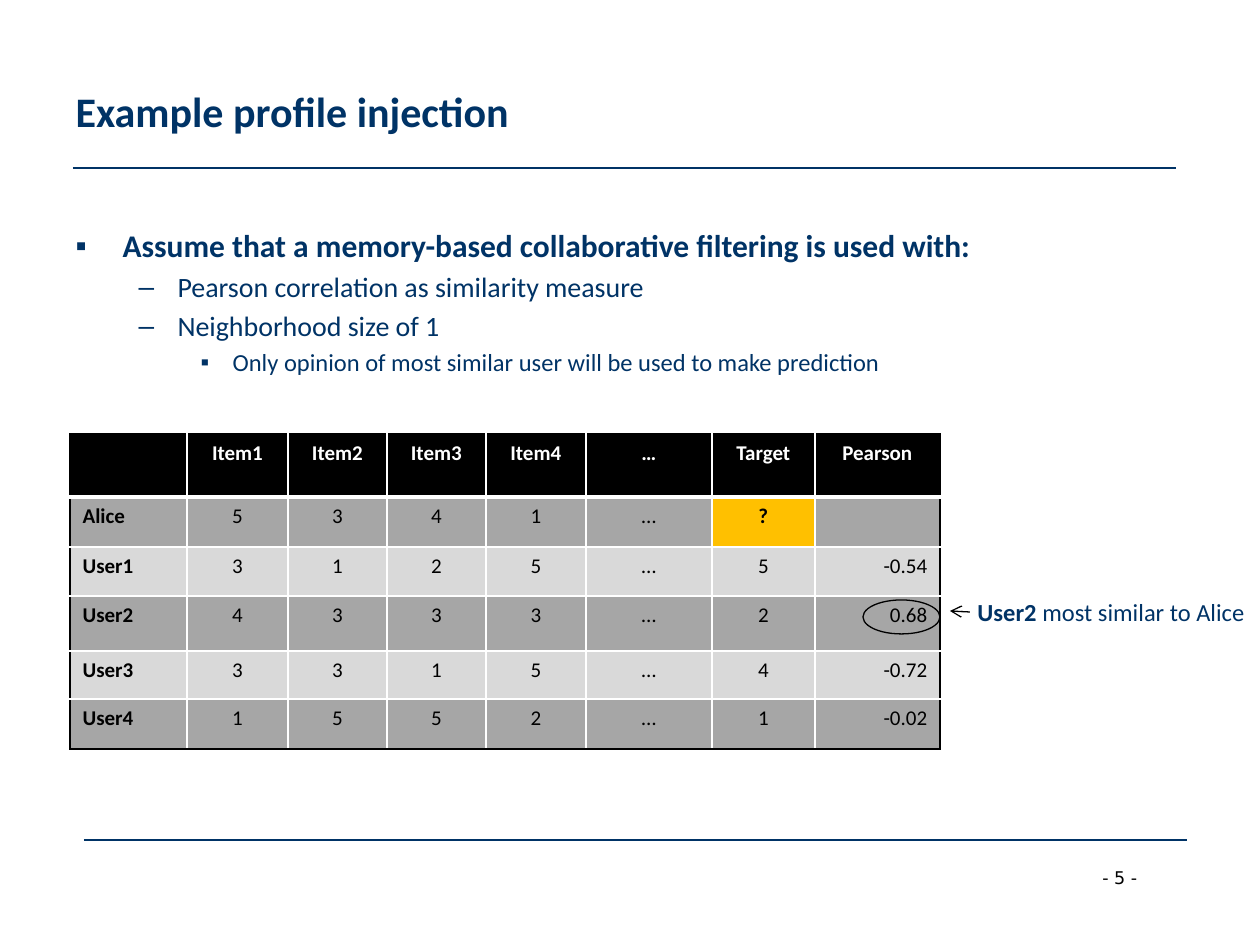
from dataclasses import dataclass

from lxml.etree import SubElement
from pptx import Presentation
from pptx.dml.color import RGBColor as RGB
from pptx.enum.shapes import MSO_CONNECTOR as Connector, MSO_SHAPE as Shape
from pptx.enum.text import MSO_ANCHOR as Anchor, MSO_AUTO_SIZE as AutoSize, PP_ALIGN as Align
from pptx.oxml.ns import qn
from pptx.util import Emu, Pt


@dataclass(frozen=True)
class Theme:
    font: str = "Calibri"
    number_font: str = "DejaVu Sans"
    navy: str = "003366"
    black: str = "000000"
    white: str = "FFFFFF"
    dark_band: str = "A6A6A6"
    light_band: str = "D9D9D9"
    highlight: str = "FFC000"
    title: int = 24
    levels: tuple = (18, 16, 14)
    note: int = 14
    cell: int = 12
    page: int = 10
    thin: float = 0.75


THEME = Theme()
EMU_PER_PX = 914400 / 126

OUTLINE = [
    (0, "Assume that a memory-based collaborative filtering is used with:"),
    (1, "Pearson correlation as similarity measure"),
    (1, "Neighborhood size of 1"),
    (2, "Only opinion of most similar user will be used to make prediction"),
]
LEVEL_FORMAT = [("▪", 47, -47), ("–", 102, -39), ("▪", 157, -32)]

RATINGS = [
    ["", "Item1", "Item2", "Item3", "Item4", "…", "Target", "Pearson"],
    ["Alice", "5", "3", "4", "1", "…", "?", ""],
    ["User1", "3", "1", "2", "5", "…", "5", "-0.54"],
    ["User2", "4", "3", "3", "3", "…", "2", "0.68"],
    ["User3", "3", "3", "1", "5", "…", "4", "-0.72"],
    ["User4", "1", "5", "5", "2", "…", "1", "-0.02"],
]
COLUMN_WIDTHS = [117, 101, 99, 99, 100, 126, 103, 125]
ROW_HEIGHTS = [63, 50, 49, 55, 48, 50]


def px(length):
    return Emu(round(length * EMU_PER_PX))


def box(*lengths):
    return [px(length) for length in lengths]


def set_font(font, size, color=THEME.navy, bold=False, name=THEME.font):
    font.name = name
    font.size = Pt(size)
    font.bold = bold
    font.color.rgb = RGB.from_string(color)


def place(holder, left, top, width, height):
    holder.left, holder.top, holder.width, holder.height = box(left, top, width, height)


def fill_title(title, text):
    place(title, 63, 32, 1134, 157)
    title.text_frame.text = text
    title.text_frame.vertical_anchor = Anchor.MIDDLE
    heading = title.text_frame.paragraphs[0]
    heading.alignment = Align.LEFT
    set_font(heading.font, THEME.title, bold=True)


def fill_outline(body, outline):
    place(body, 63, 220, 1134, 183)
    frame = body.text_frame
    frame.auto_size = AutoSize.NONE
    frame.text = "\n".join(text for _, text in outline)
    for point, (level, _) in zip(frame.paragraphs, outline):
        point.level = level
        bullet, margin, indent = LEVEL_FORMAT[level]
        properties = point._p.get_or_add_pPr()
        properties.set("marL", str(px(margin)))
        properties.set("indent", str(px(indent)))
        SubElement(properties, qn("a:buChar"), char=bullet)
        set_font(point.font, THEME.levels[level], bold=level == 0)
    frame.paragraphs[0].space_before = Pt(12)


def add_line(slide, start, end, color, arrow=False):
    line = slide.shapes.add_connector(Connector.STRAIGHT, *box(*start, *end))
    line.line.color.rgb = RGB.from_string(color)
    line.line.width = Pt(THEME.thin)
    if arrow:
        SubElement(line.line._get_or_add_ln(), qn("a:tailEnd"), type="arrow")
    SubElement(line._element.spPr, qn("a:effectLst"))


def add_label(slide, bounds, runs, size, color=THEME.navy, name=THEME.font):
    frame = slide.shapes.add_textbox(*box(*bounds)).text_frame
    frame.word_wrap = False
    frame.auto_size = AutoSize.SHAPE_TO_FIT_TEXT
    for text, bold in runs:
        run = frame.paragraphs[0].add_run()
        run.text = text
        set_font(run.font, size, color, bold, name)


def add_ring(slide, bounds):
    ring = slide.shapes.add_shape(Shape.OVAL, *box(*bounds))
    ring.shadow.inherit = False
    ring.fill.background()
    ring.line.color.rgb = RGB.from_string(THEME.black)
    ring.line.width = Pt(THEME.thin)


def set_borders(cell, borders):
    properties = cell._tc.get_or_add_tcPr()
    for side, (color, width) in borders.items():
        border = SubElement(properties, qn(f"a:ln{side}"), w=str(Pt(width)))
        SubElement(SubElement(border, qn("a:solidFill")), qn("a:srgbClr"), val=color)


def cell_borders(row, column):
    last_row, last_column = len(RATINGS) - 1, len(COLUMN_WIDTHS) - 1

    def edge(outer):
        return (THEME.black if outer else THEME.white, 1)

    return {
        "L": edge(column == 0),
        "R": edge(column == last_column),
        "T": (THEME.white, 3) if row == 1 else edge(row == 0),
        "B": (THEME.white, 3) if row == 0 else edge(row == last_row),
    }


def cell_fill(row, text):
    if row == 0:
        return THEME.black
    if text == "?":
        return THEME.highlight
    return THEME.dark_band if row % 2 else THEME.light_band


def cell_alignment(row, column):
    if row and column == 0:
        return Align.LEFT
    if row and column == len(COLUMN_WIDTHS) - 1:
        return Align.RIGHT
    return Align.CENTER


def add_ratings(slide, left, top):
    size = sum(COLUMN_WIDTHS), sum(ROW_HEIGHTS)
    frame = slide.shapes.add_table(len(RATINGS), len(COLUMN_WIDTHS), *box(left, top, *size))
    table = frame.table
    for column, width in zip(table.columns, COLUMN_WIDTHS):
        column.width = px(width)
    for row, height in zip(table.rows, ROW_HEIGHTS):
        row.height = px(height)
    for r, values in enumerate(RATINGS):
        for c, text in enumerate(values):
            cell = table.cell(r, c)
            cell.text = text
            set_borders(cell, cell_borders(r, c))
            cell.fill.solid()
            cell.fill.fore_color.rgb = RGB.from_string(cell_fill(r, text))
            entry = cell.text_frame.paragraphs[0]
            entry.alignment = cell_alignment(r, c)
            set_font(entry.font, THEME.cell, THEME.black if r else THEME.white,
                     bold=r == 0 or c == 0 or text == "?")


def main():
    deck = Presentation()
    deck.slide_width, deck.slide_height = box(1260, 945)
    slide = deck.slides.add_slide(deck.slide_layouts[1])
    add_line(slide, (73, 168), (1176, 168), THEME.navy)
    add_label(slide, (1090, 861, 96, 34), [("- 5 -", False)], THEME.page,
              THEME.black, THEME.number_font)
    add_line(slide, (84, 840), (1187, 840), THEME.navy)
    fill_title(slide.shapes.title, "Example profile injection")
    fill_outline(slide.placeholders[1], OUTLINE)
    add_ratings(slide, 70, 434)
    add_ring(slide, (863, 600, 77, 34))
    add_label(slide, (965, 591, 295, 43),
              [("User2", True), (" most similar to Alice", False)], THEME.note)
    add_line(slide, (970, 612), (950, 611), THEME.black, arrow=True)
    deck.save("out.pptx")


if __name__ == "__main__":
    main()
